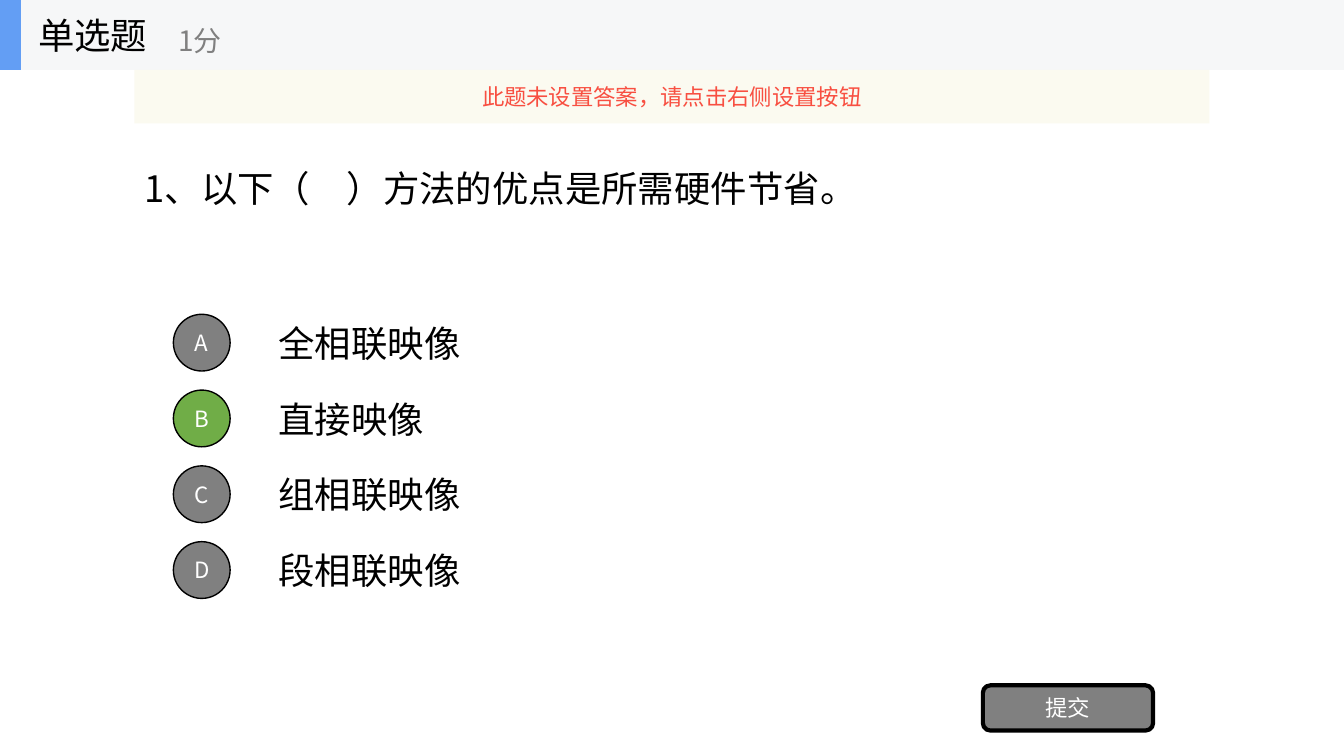
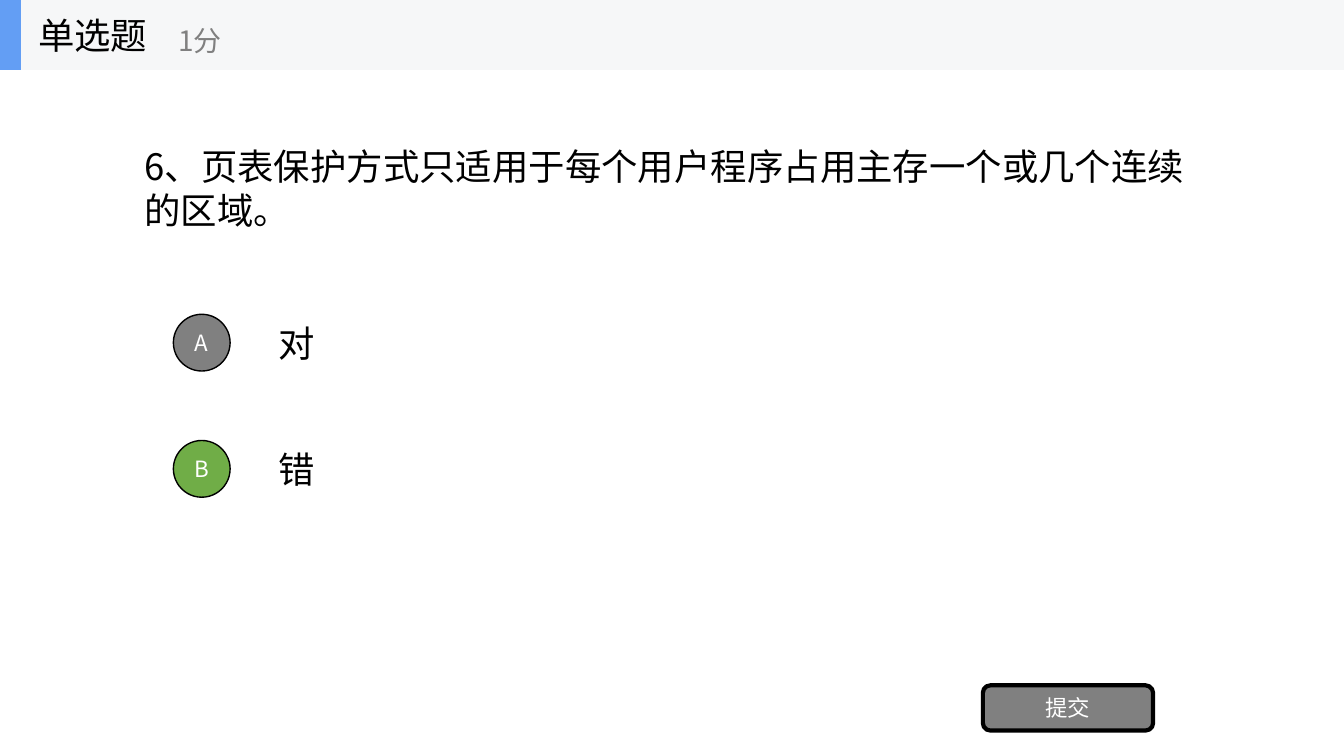
import pptx
import pptx.util
import pptx.dml.color
import pptx.enum.shapes
import pptx.enum.text
import pptx.oxml.ns
import lxml.etree

Cm, Pt = pptx.util.Cm, pptx.util.Pt
SHAPE = pptx.enum.shapes.MSO_SHAPE
ALIGN = pptx.enum.text.PP_ALIGN
qn = pptx.oxml.ns.qn

FONT = "Noto Sans CJK SC"
BLACK, WHITE, GRAY, GREEN = "000000", "FFFFFF", "808080", "70AD47"
BAND, BLUE, CREAM, RED = "F6F7F8", "639EF4", "FBFAEF", "F84F41"

WIDTH, HEIGHT = 33.87, 19.05
BAR = 1.76                      # header height
LEFT, SPAN = 3.39, 27.09        # question column
TOP, ROW, DOT = 7.74, 1.79, 1.43  # options: first top, row height, circle


def color(code):
    return pptx.dml.color.RGBColor.from_string(code)


def write(shape, text, size, ink, align):
    frame = shape.text_frame
    frame.word_wrap = True
    frame.vertical_anchor = pptx.enum.text.MSO_ANCHOR.MIDDLE
    para = frame.paragraphs[0]
    para.text = text
    para.alignment = align
    font = para.font
    font.size, font.name = Pt(size), FONT
    font.color.rgb = color(ink)
    props = para._p.pPr.find(qn("a:defRPr"))
    lxml.etree.SubElement(props, qn("a:ea"), typeface=FONT)


def label(shapes, box, text, size=26, ink=BLACK):
    shape = shapes.add_textbox(*map(Cm, box))
    write(shape, text, size, ink, ALIGN.LEFT)


def block(shapes, box, fill, kind=SHAPE.RECTANGLE, line=0, text="", ink=WHITE):
    shape = shapes.add_shape(kind, *map(Cm, box))
    shape.shadow.inherit = False
    shape.fill.solid()
    shape.fill.fore_color.rgb = color(fill)
    if line:
        shape.line.color.rgb = color(BLACK)
        shape.line.width = Pt(line)
    else:
        shape.line.fill.background()
    if text:
        frame = shape.text_frame
        frame.margin_left = frame.margin_right = 0
        frame.margin_top = frame.margin_bottom = 0
        write(shape, text, 16, ink, ALIGN.CENTER)
    return shape


def header(slide):
    shapes = slide.shapes.add_group_shape().shapes
    block(shapes, (0, 0, WIDTH, BAR), BAND)
    block(shapes, (0, 0, 0.53, BAR), BLUE)
    label(shapes, (0.71, 0, 5.28, BAR), "单选题")
    label(shapes, (4.24, 0.3, 6.35, 1.43), "1分", 20, GRAY)


def choices(slide, items, right, pitch):
    for i, item in enumerate(items):
        top = TOP + i * pitch
        letter = "ABCD"[i]
        label(slide.shapes, (6.77, top, 23.71, ROW), item)
        block(slide.shapes, (4.37, top + (ROW - DOT) / 2, DOT, DOT),
              GREEN if letter == right else GRAY,
              SHAPE.OVAL, 1, letter)


def notice(slide, text):
    """Add the slightly transparent strip under the header."""
    strip = block(slide.shapes, (LEFT, BAR, SPAN, 1.35), CREAM,
                  text=text, ink=RED)
    tint = strip._element.spPr.find(qn("a:solidFill"))[0]
    lxml.etree.SubElement(tint, qn("a:alpha"), val="90000")


def quiz(deck, text, items, right, pitch):
    slide = deck.slides.add_slide(deck.slide_layouts[6])
    label(slide.shapes, (LEFT, BAR, SPAN, 5.94), text)
    choices(slide, items, right, pitch)
    block(slide.shapes, (24.77, 17.27, 4.29, 1.14), GRAY,
          SHAPE.ROUNDED_RECTANGLE, 3, "提交")
    header(slide)
    return slide


def main():
    deck = pptx.Presentation()
    deck.slide_width, deck.slide_height = Cm(WIDTH), Cm(HEIGHT)
    first = quiz(deck, "1、以下（　）方法的优点是所需硬件节省。",
                 ["全相联映像", "直接映像", "组相联映像", "段相联映像"],
                 "B", 1.91)
    notice(first, "此题未设置答案，请点击右侧设置按钮")
    quiz(deck, "6、页表保护方式只适用于每个用户程序占用主存一个或几个连续的区域。",
         ["对", "错"], "B", 3.18)
    deck.save("out.pptx")


if __name__ == "__main__":
    main()
